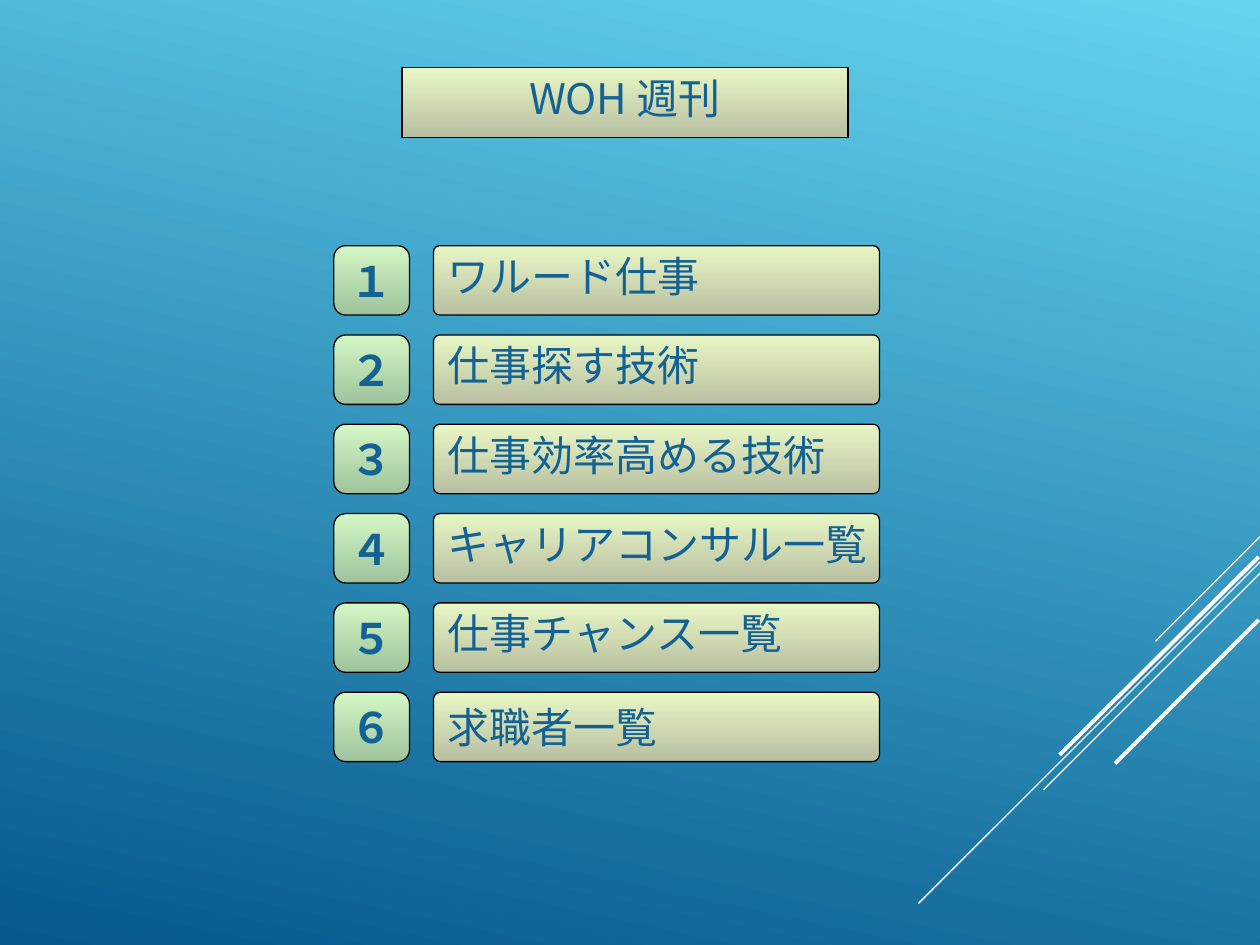
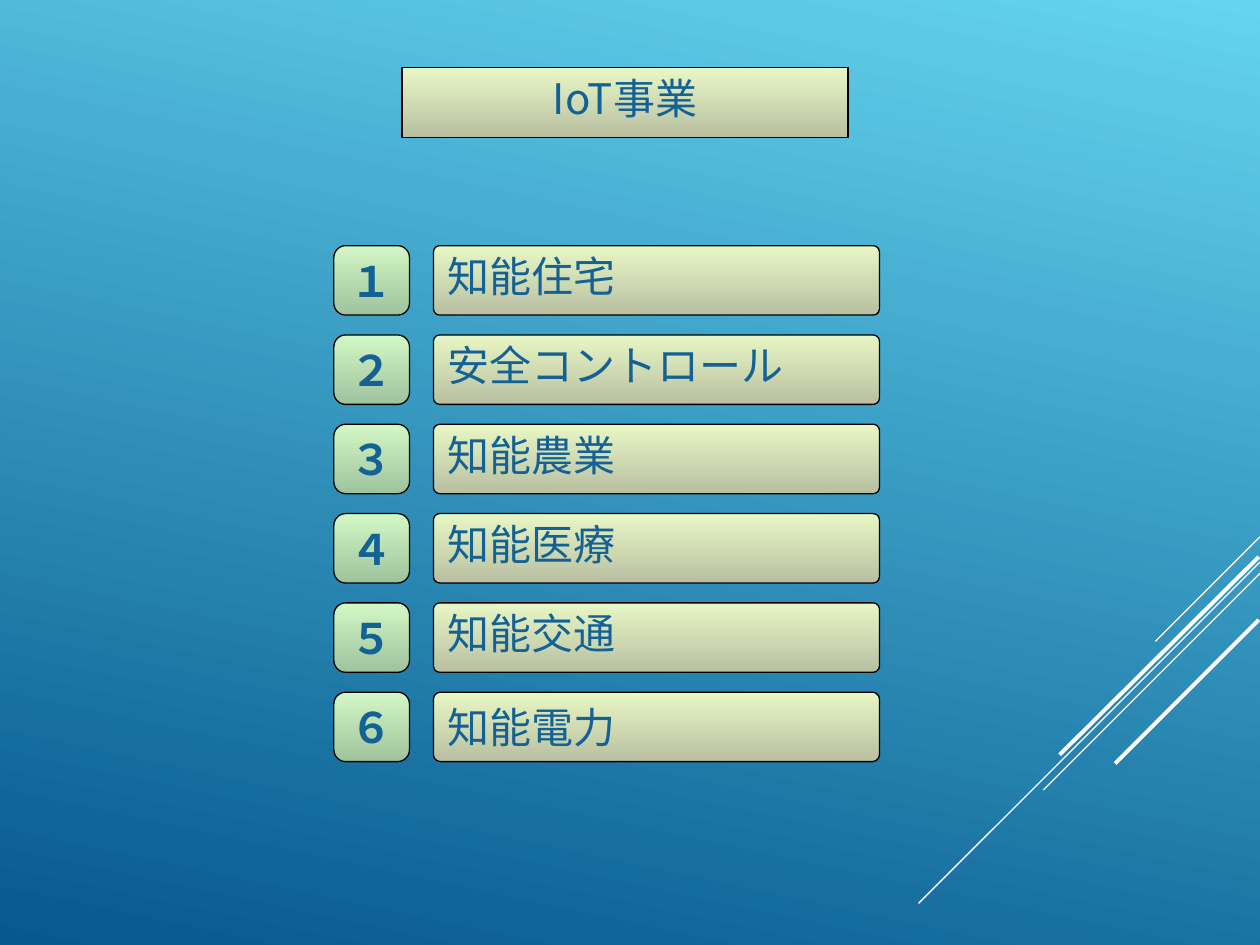
from dataclasses import dataclass

from lxml import etree
from pptx import Presentation
from pptx.dml.color import RGBColor
from pptx.enum.shapes import MSO_CONNECTOR, MSO_SHAPE
from pptx.enum.text import MSO_ANCHOR, MSO_AUTO_SIZE, PP_ALIGN
from pptx.oxml.ns import qn
from pptx.util import Inches, Pt

ROUNDED, STRAIGHT = MSO_SHAPE.ROUNDED_RECTANGLE, MSO_CONNECTOR.STRAIGHT
LEFT, CENTER, MIDDLE = PP_ALIGN.LEFT, PP_ALIGN.CENTER, MSO_ANCHOR.MIDDLE
FIXED_SIZE = MSO_AUTO_SIZE.NONE

WIDTH, HEIGHT = Inches(10), Inches(7.5)
FONT = "Noto Sans CJK JP"
COLORS = {
    "sky": "64D4EF", "sea": "06588E",
    "cream": "E8F7C5", "khaki": "B9BFA1",
    "mint": "D3F7C5", "sage": "9FC39D",
    "outline": "000000", "text": "146194", "ray": "FFFFFF",
}
FIRST_ROW, ROW_PITCH, ROW_HEIGHT = 26, 9.45, 7.35
NUMBERS = "１２３４５６"


@dataclass(frozen=True)
class Box:
    """A frame in percent of the slide's width and height."""
    left: float
    top: float
    width: float
    height: float = ROW_HEIGHT


@dataclass(frozen=True)
class PanelStyle:
    """The look of one kind of rounded panel."""
    light: str
    dark: str
    corner: float
    align: PP_ALIGN
    bold: bool = False
    space_before: int = 6
    line_spacing: float = 0.8


@dataclass(frozen=True)
class Ray:
    """A diagonal line in percent of the slide's width and height."""
    x1: float
    y1: float
    x2: float
    y2: float
    weight: float = 0.75


@dataclass(frozen=True)
class Menu:
    """A titled list of six topics."""
    title: str
    topics: tuple[str, ...]


HEADING = PanelStyle("cream", "khaki", 0.1, CENTER)
TOPIC = PanelStyle("cream", "khaki", 0.09, LEFT)
LAST_TOPIC = PanelStyle("cream", "khaki", 0.1, LEFT, line_spacing=1.0)
NUMBER = PanelStyle("mint", "sage", 0.17, CENTER, True, 0, 1.0)

RAYS = (
    Ray(100, 56.8, 91.7, 67.87),
    Ray(100, 59.47, 72.9, 95.6),
    Ray(100, 60.67, 82.8, 83.6),
    Ray(99.9, 58.93, 84.1, 79.87, 2.25),
    Ray(99.9, 65.6, 88.5, 80.8, 2.25),
)
MENUS = (
    Menu("WOH 週刊", ("ワルード仕事", "仕事探す技術", "仕事効率高める技術",
                    "キャリアコンサル一覧", "仕事チャンス一覧", "求職者一覧")),
    Menu("IoT事業", ("知能住宅", "安全コントロール", "知能農業",
                   "知能医療", "知能交通", "知能電力")),
)


def across(percent: float) -> int:
    """Turn a share of the width into a length."""
    return round(WIDTH * percent / 100)


def down(percent: float) -> int:
    """Turn a share of the height into a length."""
    return round(HEIGHT * percent / 100)


def color(name: str) -> RGBColor:
    """Look up a colour by name."""
    return RGBColor.from_string(COLORS[name])


def fill_gradient(fill, light: str, dark: str, clockwise: float) -> None:
    """Fill with a two-colour linear gradient."""
    fill.gradient()
    fill.gradient_angle = 360 - clockwise
    for stop, name in zip(fill.gradient_stops, (light, dark)):
        stop.color.rgb = color(name)


def format_panel(panel, text: str, style: PanelStyle) -> None:
    """Give a rounded panel its surface and its text."""
    panel.adjustments[0] = style.corner
    panel.shadow.inherit = False
    fill_gradient(panel.fill, style.light, style.dark, 90)
    panel.line.color.rgb = color("outline")
    panel.line.width = Pt(0.75)
    frame = panel.text_frame
    frame.text = text
    frame.word_wrap = False
    frame.auto_size = FIXED_SIZE
    frame.vertical_anchor = MIDDLE
    frame.margin_left = frame.margin_right = Inches(0.1)
    frame.margin_top = frame.margin_bottom = Inches(0.05)
    paragraph = frame.paragraphs[0]
    paragraph.alignment = style.align
    paragraph.space_before = Pt(style.space_before)
    paragraph.line_spacing = style.line_spacing
    font = paragraph.font
    font.name, font.size, font.bold = FONT, Pt(24), style.bold
    font.color.rgb = color("text")
    for properties in panel.element.iter(qn("a:defRPr")):
        etree.SubElement(properties, qn("a:ea"), typeface=FONT)


def add_panel(slide, box: Box, text: str, style: PanelStyle) -> None:
    """Draw a rounded panel with text."""
    panel = slide.shapes.add_shape(ROUNDED, across(box.left), down(box.top),
                                   across(box.width), down(box.height))
    format_panel(panel, text, style)


def place_title(slide, box: Box, text: str) -> None:
    """Turn the title placeholder into the heading panel."""
    title = slide.shapes.title
    title.left, title.top = across(box.left), down(box.top)
    title.width, title.height = across(box.width), down(box.height)
    geometry = etree.SubElement(title.element.spPr, qn("a:prstGeom"), prst="roundRect")
    etree.SubElement(geometry, qn("a:avLst"))
    format_panel(title, text, HEADING)


def add_ray(slide, ray: Ray):
    """Draw one diagonal line."""
    line = slide.shapes.add_connector(STRAIGHT, across(ray.x1), down(ray.y1),
                                      across(ray.x2), down(ray.y2))
    line.line.color.rgb = color("ray")
    line.line.width = Pt(ray.weight)
    etree.SubElement(line.element.spPr, qn("a:effectLst"))
    return line


def decorate_master(master, slide) -> None:
    """Put the background and the diagonal lines on the master."""
    fill_gradient(master.background.fill, "sky", "sea", 102)
    for ray in RAYS:
        master.shapes.element.append(add_ray(slide, ray).element)


def build_menu(slide, menu: Menu) -> None:
    """Draw the heading and the numbered topics."""
    place_title(slide, Box(31.9, 7.17, 35.4), menu.title)
    for row, (number, topic) in enumerate(zip(NUMBERS, menu.topics)):
        top = FIRST_ROW + row * ROW_PITCH
        style = LAST_TOPIC if row == len(NUMBERS) - 1 else TOPIC
        add_panel(slide, Box(26.5, top, 6), number, NUMBER)
        add_panel(slide, Box(34.4, top, 35.4), topic, style)


def main() -> None:
    """Build and save the presentation."""
    deck = Presentation()
    deck.slide_width, deck.slide_height = WIDTH, HEIGHT
    title_only = deck.slide_layouts[5]
    slides = [deck.slides.add_slide(title_only) for _ in MENUS]
    decorate_master(deck.slide_master, slides[0])
    for slide, menu in zip(slides, MENUS):
        build_menu(slide, menu)
    deck.save("out.pptx")


if __name__ == "__main__":
    main()
